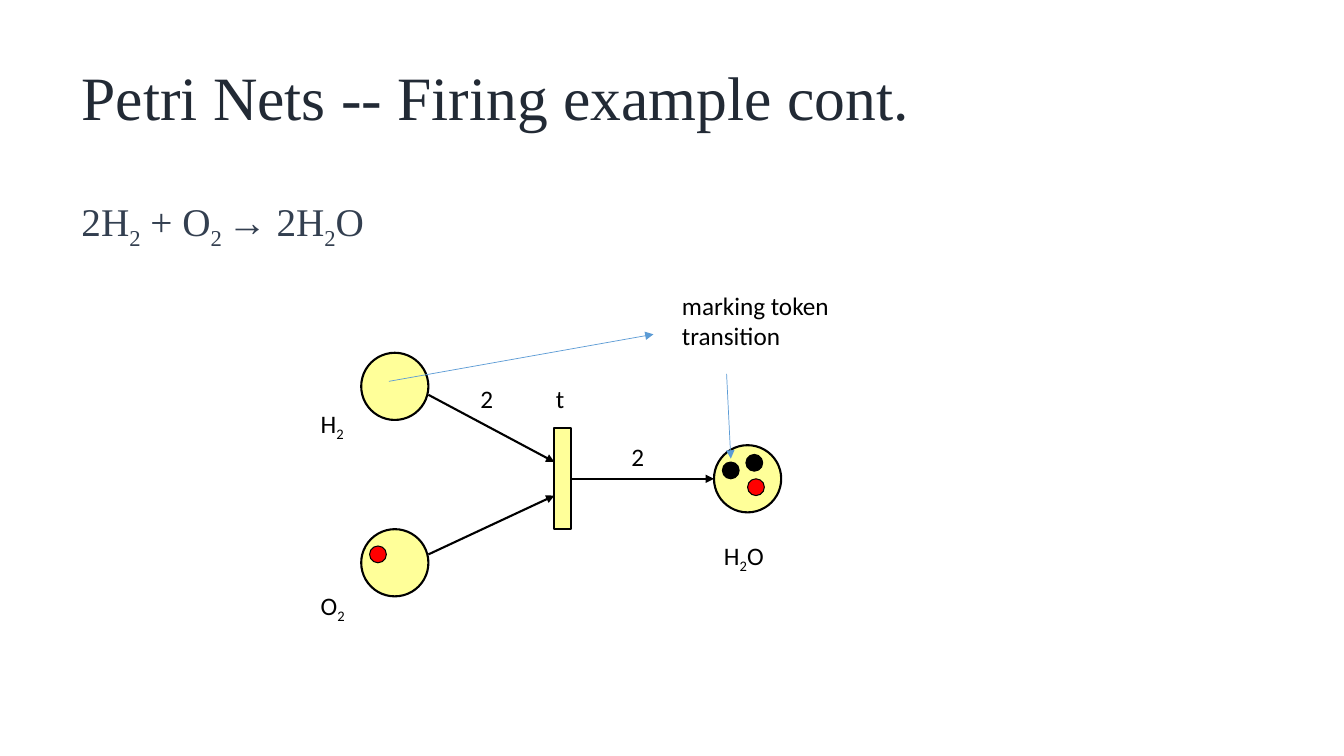
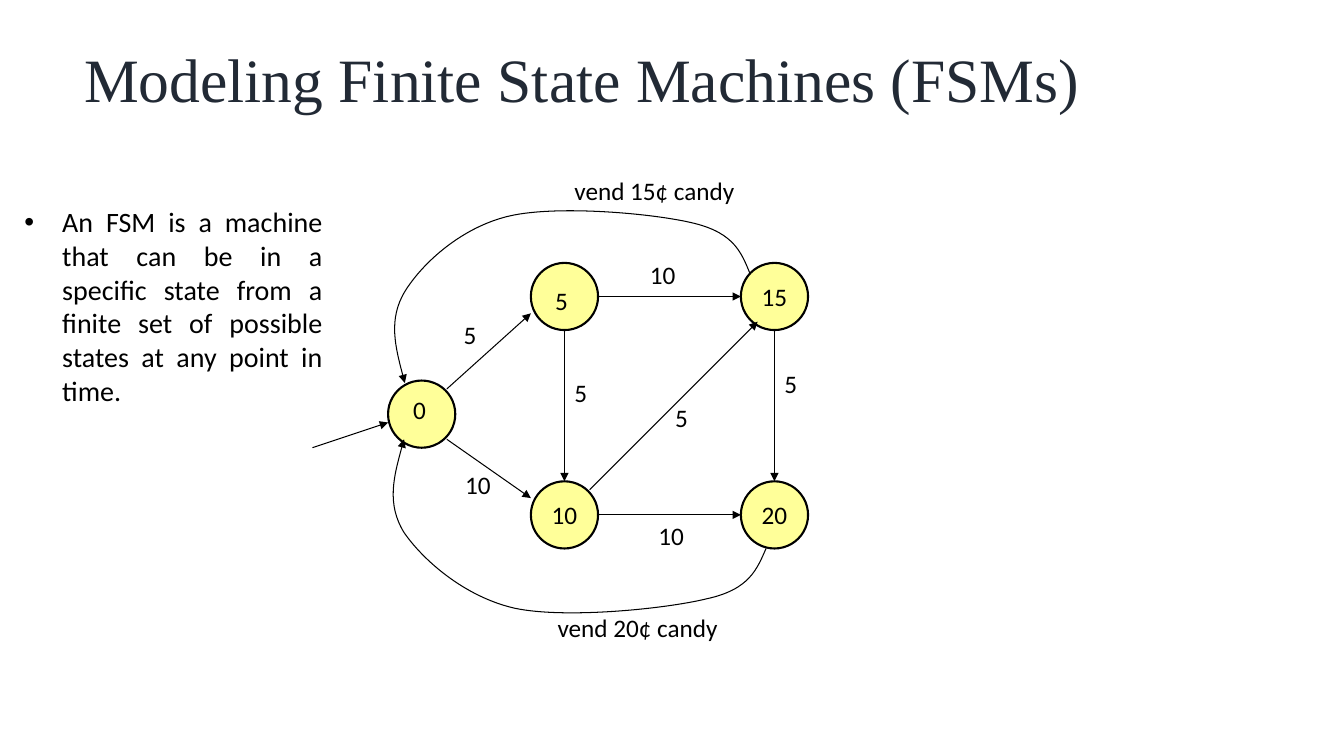
from pptx import Presentation
from pptx.dml.color import RGBColor
from pptx.enum.shapes import MSO_CONNECTOR, MSO_SHAPE
from pptx.enum.text import MSO_ANCHOR, MSO_AUTO_SIZE, PP_ALIGN
from pptx.oxml.ns import qn
from pptx.oxml.xmlchemy import OxmlElement
from pptx.util import Inches, Pt

COLORS = {"title": "222A35", "formula": "333F50", "ink": "000000",
          "place": "FFFF99", "token": "FF0000", "pointer": "5B9BD5"}
COLORS = {name: RGBColor.from_string(value) for name, value in COLORS.items()}
SERIF, SANS = "Times New Roman", "Calibri"

# Grid of 160 columns by 90 rows
deck = Presentation()
deck.slide_width, deck.slide_height = Inches(13.333333), Inches(7.5)
CELL = deck.slide_height / 90
NODE, DOT = 8, 2


def cells(*lengths):
    return [round(length * CELL) for length in lengths]


def write(frame, pieces, size=18, font=SANS, color="ink"):
    """Fill the first paragraph; every second piece is a subscript."""
    para = frame.paragraphs[0]
    for index, piece in enumerate(pieces):
        span = para.add_run()
        span.text = piece
        span.font.size, span.font.name = Pt(size), font
        span.font.color.rgb = COLORS[color]
        if index % 2:
            span.font._element.set("baseline", "-25000")
    return para


# Pages with title and body
page_data = [
    ("Petri Nets -- Firing example cont.", (8.5, 4.2, 138, 15.5),
     ["2H", "2", " + O", "2 ", "→ 2H", "2", "O"], (8.5, 23, 138, 57.1),
     (28, SERIF, "formula")),
    ("Modeling Finite State Machines (FSMs)", (8.8, 4.8, 126.4, 10),
     ["An FSM is a machine that can be in a specific state from a finite set "
      "of possible states at any point in time."], (1.7, 23.8, 37.9, 29.5),
     (20, SANS, "ink")),
]
bodies = []
for title_text, title_box, body_pieces, body_box, body_style in page_data:
    page = deck.slides.add_slide(deck.slide_layouts[1])
    title, body = page.shapes.title, page.placeholders[1]
    for holder, box in ((title, title_box), (body, body_box)):
        holder.left, holder.top, holder.width, holder.height = cells(*box)
        holder.text_frame.auto_size = MSO_AUTO_SIZE.NONE
    title.text_frame.vertical_anchor = MSO_ANCHOR.MIDDLE
    heading = write(title.text_frame, [title_text], 44, SERIF, "title")
    heading.alignment, heading.line_spacing = PP_ALIGN.LEFT, 0.9
    bodies.append(write(body.text_frame, body_pieces, *body_style))
petri, machine = deck.slides

# Formula without a bullet, definition with one
formula, definition = bodies
formula.line_spacing, formula.space_before = 0.9, Pt(10)
definition.alignment, definition.space_before = PP_ALIGN.JUSTIFY, Pt(0)
for para, indent, bullet in ((formula, 0.25, None), (definition, 0.375, "•")):
    properties = para._p.get_or_add_pPr()
    properties.set("marL", str(Inches(indent)))
    properties.set("indent", str(-Inches(indent)))
    mark = OxmlElement("a:buChar" if bullet else "a:buNone")
    if bullet:
        mark.set("char", bullet)
    properties.append(mark)

# Top left corner of each diagram, in cells
ORIGIN = {petri.slide_id: (0, 0), machine.slide_id: (46.2, 31.3)}

# Places, transition, tokens and states
OVAL, BAR = MSO_SHAPE.OVAL, MSO_SHAPE.RECTANGLE
outlines = [(petri, OVAL, x, y, NODE, NODE, "place", 1.5, "")
            for x, y in ((43, 42), (43, 63), (85, 53))]
outlines += [(petri, OVAL, x, y, DOT, DOT, color, 0.75, "")
             for x, y, color in ((89, 57, "token"), (86, 55, "ink"),
                                 (44, 65, "token"), (88.8, 54.1, "ink"))]
outlines += [(machine, OVAL, x, y, NODE, NODE, "place", 1.5, state)
             for x, y, state in ((0, 14, ""), (17, 0, ""), (42, 0, "15"),
                                 (42, 26, "20"), (17, 26, "10"))]
outlines.append((petri, BAR, 66, 51, 2, 12, "place", 1.5, ""))
for page, kind, x, y, width, height, color, weight, text in outlines:
    left, top = ORIGIN[page.slide_id]
    shape = page.shapes.add_shape(kind, *cells(left + x, top + y, width, height))
    shape.shadow.inherit = False
    shape.fill.solid()
    shape.fill.fore_color.rgb = COLORS[color]
    shape.line.color.rgb = COLORS["ink"]
    shape.line.width = Pt(weight)
    if text:
        shape.text_frame.word_wrap = False
        shape.text_frame.vertical_anchor = MSO_ANCHOR.MIDDLE
        write(shape.text_frame, [text]).alignment = PP_ALIGN.CENTER
transition = shape

# Straight arrows: from, to
arrow_data = [
    (petri, "ink", 1.5, [(51, 47, 66, 55), (51, 66, 66, 59), (68, 57, 85, 57)]),
    (petri, "pointer", 0.5, [(86.5, 44.5, 87, 54.6), (46.3, 45.4, 77.8, 39.8)]),
    (machine, "ink", 0.75, [
        (7, 15, 17, 6), (25, 4, 42, 4), (21, 8, 21, 26), (24, 27, 44, 7),
        (46, 8, 46, 26), (25, 30, 42, 30), (7, 21, 17, 28), (-9, 22, 0, 19)]),
]
strokes = []
for page, color, weight, ends in arrow_data:
    left, top = ORIGIN[page.slide_id]
    for x1, y1, x2, y2 in ends:
        arrow = page.shapes.add_connector(
            MSO_CONNECTOR.STRAIGHT,
            *cells(left + x1, top + y1, left + x2, top + y2))
        if (page, x1, y1) == (petri, 68, 57):
            arrow.begin_connect(transition, 3)
        strokes.append((arrow, color, weight))

# Curved arrows back to the start state: start, then three points a curve
vend_curves = [
    [(45, 34), (43.9, 36.5), (43, 38.9), (37.9, 40), (33, 41.2), (21, 42.4),
     (15, 41.1), (9, 39.7), (4.1, 35.3), (1.9, 32.1), (-0.2, 28.7),
     (0.8, 24.9), (1.9, 21)],
    [(43.1, 1.3), (42.1, -1.1), (41.3, -3.5), (36.5, -4.7), (31.7, -5.9),
     (20.2, -6.9), (14.5, -5.6), (8.8, -4.3), (4.1, 0), (2, 3.4), (0, 6.7),
     (1, 10.6), (2, 14.3)],
]
left, top = ORIGIN[machine.slide_id]
for points in vend_curves:
    start, *rest = [cells(left + x, top + y) for x, y in points]
    builder = machine.shapes.build_freeform(*start)
    builder.add_line_segments(rest, close=False)
    loop = builder.convert_to_shape()
    loop.fill.background()
    segments = list(loop.element.iter(qn("a:lnTo")))
    for first in range(0, len(segments), 3):
        curve = OxmlElement("a:cubicBezTo")
        segments[first].addprevious(curve)
        for segment in segments[first:first + 3]:
            curve.append(segment[0])
            segment.getparent().remove(segment)
    strokes.append((loop, "ink", 0.75))

# Line style and arrowhead for every arrow
for stroke, color, weight in strokes:
    stroke.line.color.rgb = COLORS[color]
    stroke.line.width = Pt(weight)
    head = OxmlElement("a:tailEnd")
    head.set("type", "triangle")
    stroke.line._get_or_add_ln().append(head)
    stroke.element.spPr.append(OxmlElement("a:effectLst"))

# Labels
label_data = [
    (petri, True, [
        (37, 48, 6.2, ["H", "2"]), (37, 69.7, 6.3, ["O", "2"]),
        (85, 63.7, 8.9, ["H", "2", "O"]), (65, 45, 6.2, ["t"]),
        (74, 52, 6.2, ["2"]), (56, 45, 6.2, ["2"]),
        (80, 34, 22, ["marking token transition"])]),
    (machine, False, [
        (7.8, 6.1, 4, ["5"]), (30, -1, 5.5, ["10"]),
        (21, -11, 21.7, ["vend 15¢ candy"]), (8, 24, 5.5, ["10"]),
        (21, 13, 4, ["5"]), (33, 16, 4, ["5"]), (31, 30, 5.5, ["10"]),
        (46, 12, 4, ["5"]), (19, 41, 21.7, ["vend 20¢ candy"]),
        (1.8, 15.1, 4, ["0"]), (18.7, 2.1, 4, ["5"])]),
]
for page, wraps, labels in label_data:
    left, top = ORIGIN[page.slide_id]
    for x, y, width, pieces in labels:
        label = page.shapes.add_textbox(*cells(left + x, top + y, width, 4.8))
        label.text_frame.word_wrap = wraps
        label.text_frame.auto_size = MSO_AUTO_SIZE.SHAPE_TO_FIT_TEXT
        write(label.text_frame, pieces)

deck.save("out.pptx")
